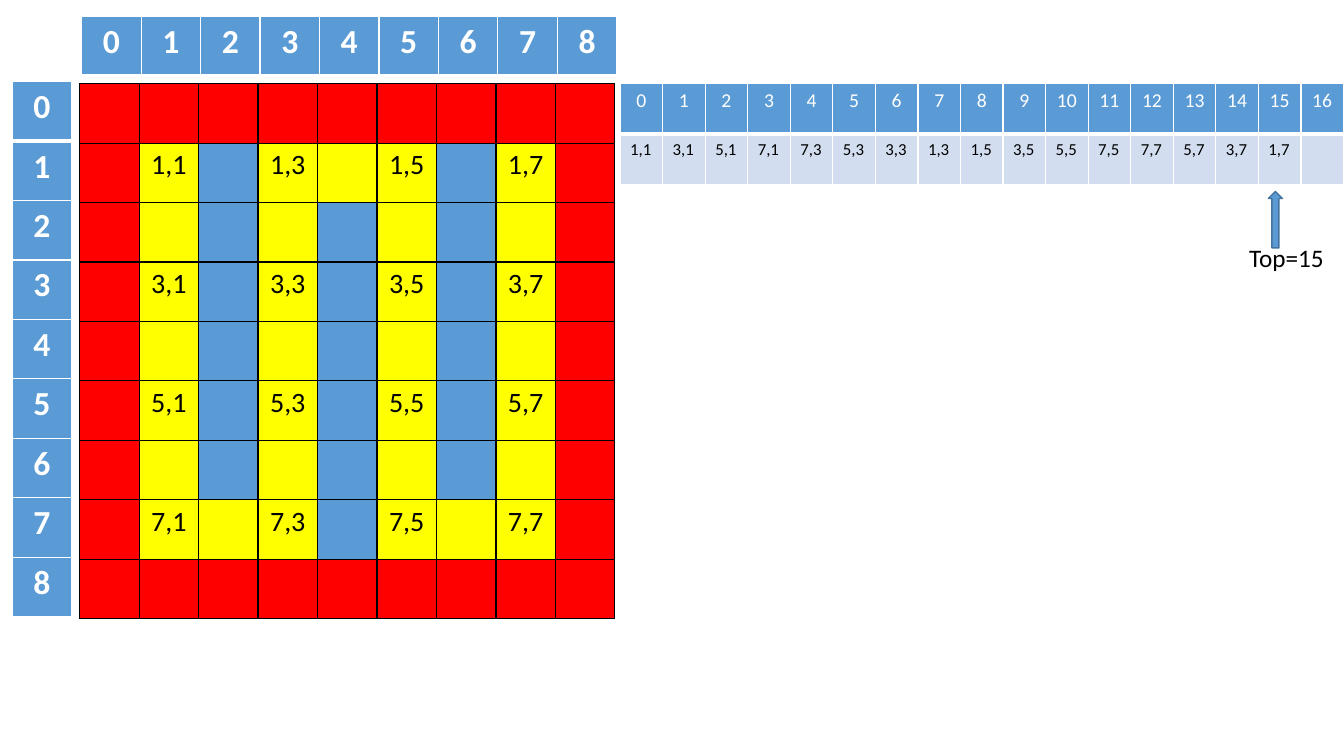
import pptx
import pptx.util
import pptx.dml.color
import pptx.enum.shapes
import pptx.enum.text
import pptx.oxml
import pptx.oxml.ns

Inches = pptx.util.Inches
RGBColor = pptx.dml.color.RGBColor
Align = pptx.enum.text.PP_ALIGN

RED = RGBColor(0xFF, 0x00, 0x00)
YELLOW = RGBColor(0xFF, 0xFF, 0x00)
BLUE = RGBColor(0x5B, 0x9B, 0xD5)
NAVY = RGBColor(0x43, 0x73, 0x9E)
PALE = RGBColor(0xD2, 0xDE, 0xEF)
BLACK = RGBColor(0x00, 0x00, 0x00)
WHITE = RGBColor(0xFF, 0xFF, 0xFF)


class Board:
    font = "Calibri"

    def __init__(self, slide):
        self.slide = slide

    def label(self, frame, text, size, color, bold=False, align=Align.LEFT):
        frame.text = text
        para = frame.paragraphs[0]
        para.alignment = align
        for run in para.runs:
            run.font.name = self.font
            run.font.size = pptx.util.Pt(size)
            run.font.bold = bold
            run.font.color.rgb = color

    def edge(self, cell, color, top, bottom):
        props = cell._tc.get_or_add_tcPr()
        space = pptx.oxml.ns.nsdecls("a")
        for side, width in zip("LRTB", (1, 1, top, bottom)):
            props.append(pptx.oxml.parse_xml(
                f'<a:ln{side} {space} w="{pptx.util.Pt(width)}"><a:solidFill>'
                f'<a:srgbClr val="{color}"/></a:solidFill></a:ln{side}>'))

    def table(self, left, top, wide, high, rows, line, head=False):
        count = len(rows[0])
        grid = self.slide.shapes.add_table(
            len(rows), count, Inches(left), Inches(top),
            Inches(wide), Inches(high)).table
        grid.first_row = grid.horz_banding = False
        for r, row in enumerate(rows):
            for c, (text, fill, style) in enumerate(row):
                cell = grid.cell(r, c)
                self.edge(cell, line, 3 if head and r == 1 else 1,
                          3 if head and r == 0 else 1)
                cell.fill.solid()
                cell.fill.fore_color.rgb = fill
                if text:
                    self.label(cell.text_frame, text, *style)

    def marker(self, text):
        group = self.slide.shapes.add_group_shape().shapes
        arrow = group.add_shape(
            pptx.enum.shapes.MSO_SHAPE.UP_ARROW, Inches(12.58), Inches(1.9),
            Inches(0.14), Inches(0.56))
        arrow.shadow.inherit = False
        arrow.fill.solid()
        arrow.fill.fore_color.rgb = BLUE
        arrow.line.color.rgb = NAVY
        arrow.line.width = pptx.util.Pt(1)
        frame = group.add_textbox(
            Inches(12.29), Inches(2.36), Inches(0.95), Inches(0.4)).text_frame
        frame.word_wrap = False
        frame.auto_size = pptx.enum.text.MSO_AUTO_SIZE.SHAPE_TO_FIT_TEXT
        self.label(frame, text, 18, BLACK)


SIZE = 9
STEP = 0.59
SPAN = 5.31
INDEX = (24, WHITE, True, Align.CENTER)
LABEL = (20, BLACK, False, Align.CENTER)
COUNT = (14, WHITE, False, Align.CENTER)
ENTRY = (12, BLACK)

odds = range(1, SIZE - 1, 2)
route = [(row, col) for turn, col in enumerate(odds)
         for row in (reversed(odds) if turn % 2 else odds)]
links = {((a + c) // 2, (b + d) // 2)
         for (a, b), (c, d) in zip(route, route[1:])}


def room(row, col):
    spot = (row, col)
    if not {0, SIZE - 1}.isdisjoint(spot):
        return "", RED, LABEL
    if spot in route:
        return f"{row},{col}", YELLOW, LABEL
    return "", YELLOW if spot in links else BLUE, LABEL


deck = pptx.Presentation()
deck.slide_width = Inches(13.33)
deck.slide_height = Inches(7.5)
board = Board(deck.slides.add_slide(deck.slide_layouts[6]))

maze = [[room(row, col) for col in range(SIZE)] for row in range(SIZE)]
index = [(str(n), BLUE, INDEX) for n in range(SIZE)]
slots = [(str(n), BLUE, COUNT) for n in range(len(route) + 1)]
stack = [(f"{row},{col}", PALE, ENTRY) for row, col in route]
stack.append(("", PALE, ENTRY))

board.table(0.79, 0.83, SPAN, SPAN, maze, BLACK)
board.table(0.81, 0.16, SPAN, STEP, [index], WHITE, True)
board.table(0.12, 0.81, STEP, SPAN, [[item] for item in index], WHITE, True)
board.table(6.15, 0.83, 7.18, 1, [slots, stack], WHITE, True)
board.marker(f"Top={len(route) - 1}")

deck.save("out.pptx")
